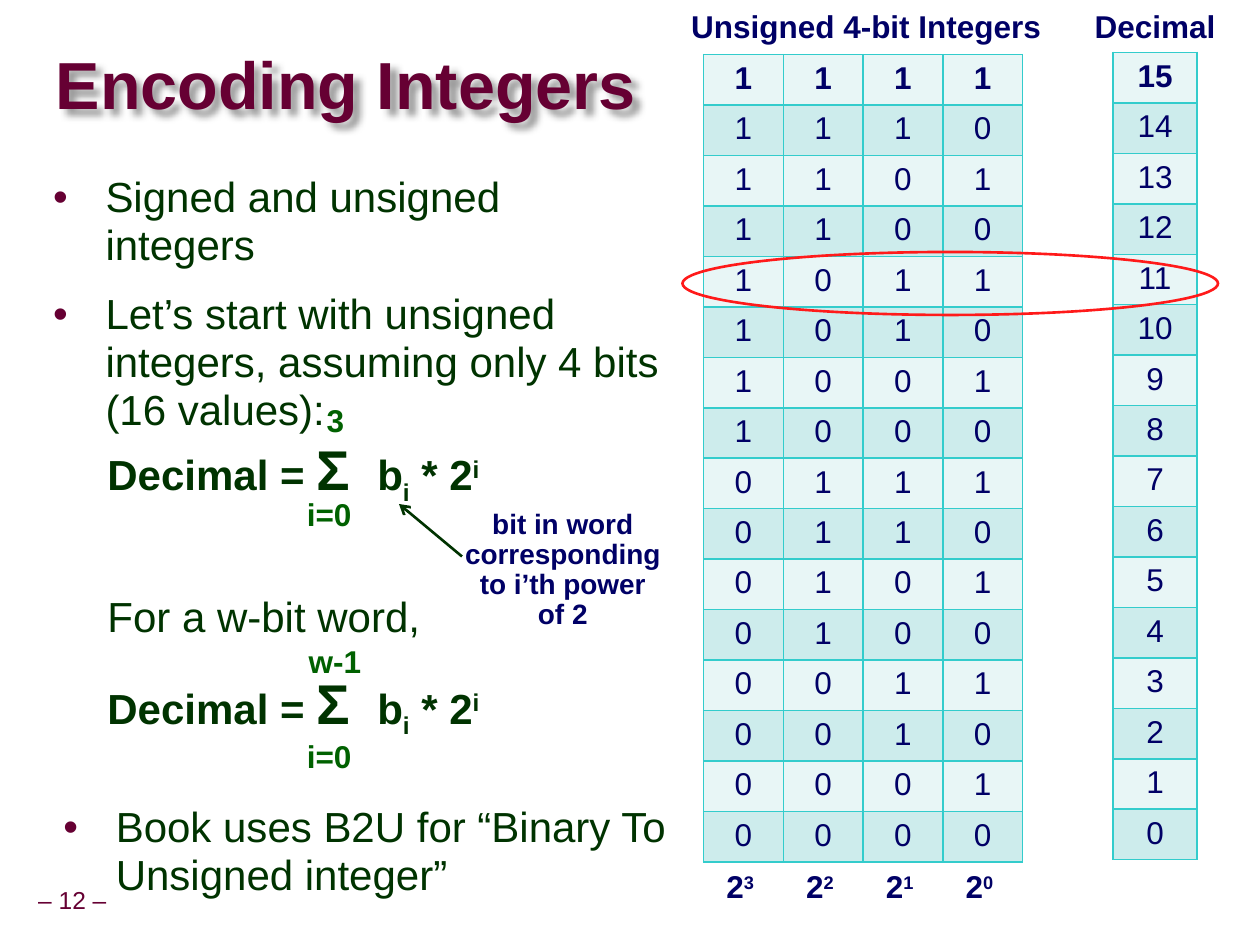
import pptx
import pptx.dml.color
import pptx.enum.shapes
import pptx.enum.text
import pptx.oxml
import pptx.oxml.ns
import pptx.util
from lxml import etree

COLUMNS, ROWS = 120, 90
CELL = pptx.util.Inches(10) // COLUMNS
MAROON, GREEN, LIMIT_GREEN, NAVY = "660033", "003300", "006100", "000066"
TEAL, RED, BANDS = "33CCCC", "FF1A1A", ("E8F6F6", "CDECEC")
INDENT = 5
LEFT = pptx.enum.text.PP_ALIGN.LEFT
CENTER = pptx.enum.text.PP_ALIGN.CENTER
MIDDLE = pptx.enum.text.MSO_ANCHOR.MIDDLE
FORMULA = [("Decimal = ", {}), ("Σ", {"size": 32}), ("\tb", {}), ("i", {"base": -25}),
           (" * 2", {}), ("i", {"base": 30})]


def grid(*cells):
    return [round(n * CELL) for n in cells]


def rgb(color):
    return pptx.dml.color.RGBColor.from_string(color)


def add_xml(parent, tag, **attributes):
    child = etree.SubElement(parent, pptx.oxml.ns.qn(tag))
    for name, value in attributes.items():
        child.set(name, str(value))
    return child


def write(paragraph, runs, size, color, bold=False, align=LEFT, spacing=0.9, before=0):
    """Fill a paragraph with (text, changes) runs; base in changes raises or lowers."""
    paragraph.alignment = align
    paragraph.line_spacing = spacing
    paragraph.space_before = pptx.util.Pt(before)
    for words, changes in runs:
        run = paragraph.add_run()
        run.text = words
        style = {"name": "Arial", "bold": bold,
                 "size": pptx.util.Pt(changes.get("size", size))}
        for name, value in style.items():
            setattr(run.font, name, value)
        run.font.color.rgb = rgb(color)
        if "base" in changes:
            run.font._element.set("baseline", str(changes["base"] * 1000))


def add_tabs(paragraph, stops):
    tabs = add_xml(paragraph._p.get_or_add_pPr(), "a:tabLst")
    for stop in grid(*stops):
        add_xml(tabs, "a:tab", pos=stop, algn="l")


def add_bullet(paragraph):
    properties = paragraph._p.get_or_add_pPr()
    indent, = grid(INDENT)
    properties.set("marL", str(indent))
    properties.set("indent", str(-indent))
    add_xml(add_xml(properties, "a:buClr"), "a:srgbClr", val=MAROON)
    add_xml(properties, "a:buFont", typeface="Arial")
    add_xml(properties, "a:buChar", char="•")


def place(shape, area):
    for name, value in zip(("left", "top", "width", "height"), grid(*area)):
        setattr(shape, name, value)


def add_box(slide, area, wrap=True):
    frame = slide.shapes.add_textbox(*grid(*area)).text_frame
    frame.word_wrap = wrap
    return frame


def add_label(slide, area, lines, size=18, color=NAVY, bold=True):
    frame = add_box(slide, area, wrap=False)
    for number, line in enumerate(lines):
        paragraph = frame.add_paragraph() if number else frame.paragraphs[0]
        write(paragraph, [(line, {})], size, color, bold, CENTER)


def fill_list(frame, items):
    for number, item in enumerate(items):
        paragraph = frame.add_paragraph() if number else frame.paragraphs[0]
        add_bullet(paragraph)
        write(paragraph, [(item, {})], 24, GREEN, spacing=0.95, before=12 if number else 0)


def add_title(slide, words):
    title = slide.shapes.title
    place(title, (5.3, 3.3, 114.4, 10.2))
    frame = title.text_frame
    frame.vertical_anchor = MIDDLE
    for side in ("left", "top", "right", "bottom"):
        setattr(frame, f"margin_{side}", 0)
    write(frame.paragraphs[0], [(words, {})], 38, MAROON, True, spacing=0.87)
    effects = add_xml(title._element.spPr, "a:effectLst")
    shadow = add_xml(effects, "a:outerShdw", blurRad=50800, dist=63500, dir=2700000)
    add_xml(add_xml(shadow, "a:srgbClr", val="000000"), "a:alpha", val=40000)


def add_formula(slide, area, intro=None):
    frame = add_box(slide, area)
    formula = frame.paragraphs[0]
    if intro:
        write(formula, [(intro, {})], 24, GREEN, spacing=0.95)
        formula = frame.add_paragraph()
    add_tabs(formula, [25.7])
    write(formula, FORMULA, 24, GREEN, True, spacing=0.95, before=16 if intro else 0)


def add_value_table(slide, left, top, column_width, rows):
    row_height = 4.8
    area = (left, top, column_width * len(rows[0]), row_height * len(rows))
    frame = slide.shapes.add_table(len(rows), len(rows[0]), *grid(*area))
    for r, values in enumerate(rows):
        for c, value in enumerate(values):
            cell = frame.table.cell(r, c)
            write(cell.text_frame.paragraphs[0], [(str(value), {})], 18, NAVY,
                  r == 0, CENTER, spacing=1.0)
            properties = cell._tc.get_or_add_tcPr()
            for side in ("L", "R", "T", "B"):
                border = add_xml(properties, f"a:ln{side}", w=pptx.util.Pt(1))
                add_xml(add_xml(border, "a:solidFill"), "a:srgbClr", val=TEAL)
            cell.fill.solid()
            cell.fill.fore_color.rgb = rgb(BANDS[r % 2])


def add_powers(slide, area, column_width):
    paragraph = add_box(slide, area).paragraphs[0]
    add_tabs(paragraph, [column_width * n for n in (1, 2, 3)])
    runs = []
    for power in (3, 2, 1, 0):
        runs += [("\t2" if runs else "2", {}), (str(power), {"base": 30})]
    write(paragraph, runs, 18, NAVY, True)


def add_arrow(slide, start, end):
    arrow = slide.shapes.add_connector(pptx.enum.shapes.MSO_CONNECTOR.STRAIGHT,
                                       *grid(*start, *end))
    arrow.line.color.rgb = rgb(GREEN)
    arrow.line.width = pptx.util.Pt(1.5)
    add_xml(arrow.line._get_or_add_ln(), "a:tailEnd", type="arrow")
    add_xml(arrow._element.spPr, "a:effectLst")


def add_ring(slide, area):
    ring = slide.shapes.add_shape(pptx.enum.shapes.MSO_SHAPE.OVAL, *grid(*area))
    ring.shadow.inherit = False
    ring.fill.background()
    ring.line.color.rgb = rgb(RED)
    ring.line.width = pptx.util.Pt(1.5)


def main():
    deck = pptx.Presentation()
    deck.slide_width, deck.slide_height = grid(COLUMNS, ROWS)
    slide = deck.slides.add_slide(deck.slide_layouts[1])

    add_label(slide, (1.4, 84, 11, 3.7), ["– 12 –"], 14, MAROON, bold=False)
    add_title(slide, "Encoding Integers")
    body = slide.placeholders[1]
    place(body, (3.85, 16, 60.2, 27))
    body.text_frame.auto_size = pptx.enum.text.MSO_AUTO_SIZE.NONE
    fill_list(body.text_frame, [
        "Signed and unsigned integers",
        "Let’s start with unsigned integers, assuming only 4 bits (16 values):"])

    bit_width = 7.6
    values = range(15, -1, -1)
    add_value_table(slide, 67, 5.2, bit_width, [f"{value:04b}" for value in values])
    add_value_table(slide, 106, 5, 8, [[value] for value in values])
    add_label(slide, (103, 0.5, 14, 4.6), ["Decimal"])
    add_label(slide, (58, 0.5, 49, 4.6), ["Unsigned 4-bit Integers"])
    add_powers(slide, (68, 82.4, 31, 4.6), bit_width)

    for left, top, width, limit in ((28, 47, 6.7, "i=0"), (29.9, 38, 4.1, "3"),
                                    (28, 70, 6.7, "i=0"), (28.2, 61, 7.4, "w-1")):
        add_label(slide, (left, top, width, 4.6), [limit], color=LIMIT_GREEN)
    add_formula(slide, (9.05, 41, 55, 14))
    add_formula(slide, (9.05, 56, 55, 16), "For a w-bit word,")
    add_label(slide, (43, 48, 21.2, 12.8),
              ["bit in word", "corresponding", "to i’th power", "of 2"], 16)
    add_arrow(slide, (44, 53), (38, 48))
    fill_list(add_box(slide, (4.85, 76, 60.2, 9)),
              ["Book uses B2U for “Binary To Unsigned integer”"])
    add_ring(slide, (65, 24, 51, 6))
    deck.save("out.pptx")


if __name__ == "__main__":
    main()
